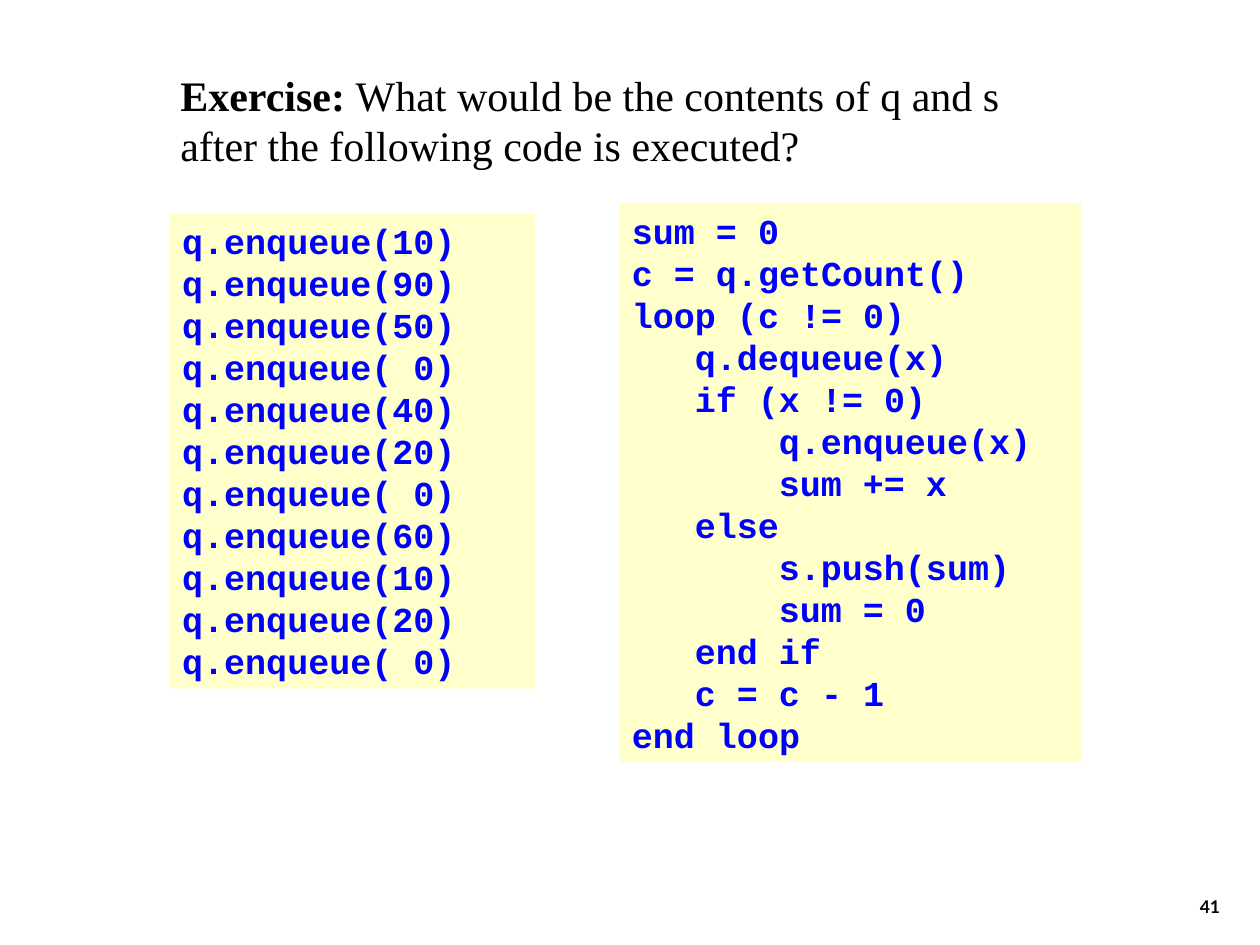
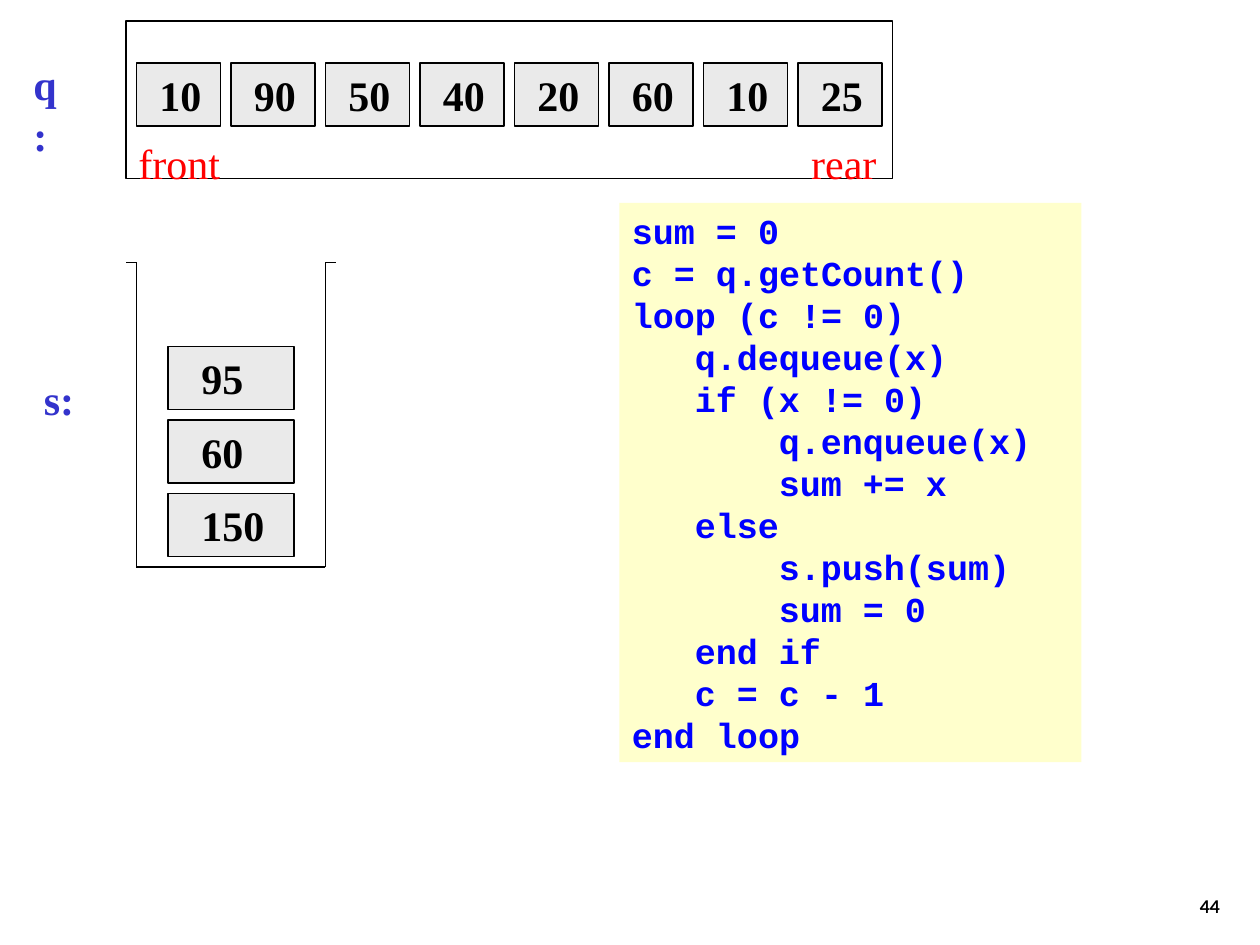
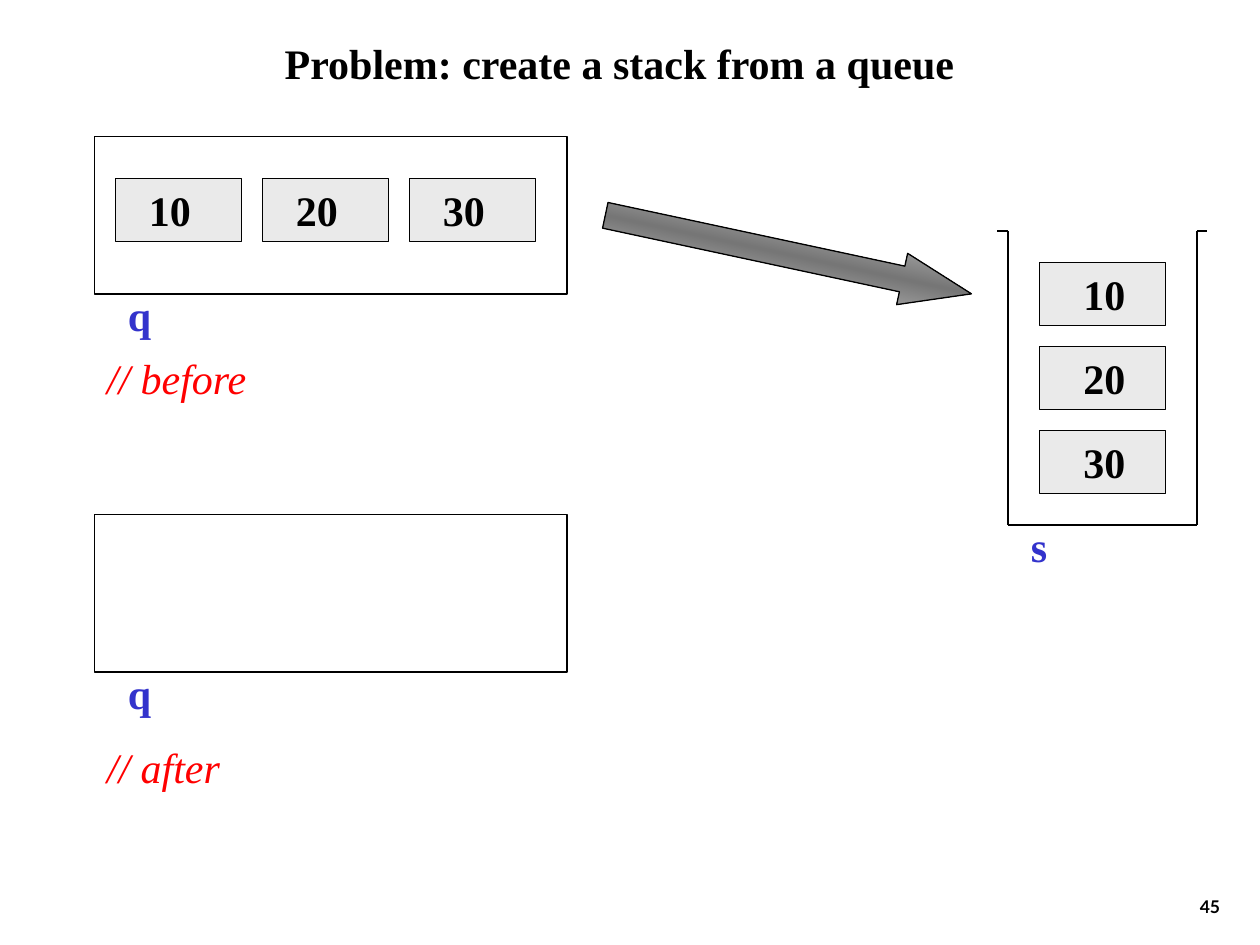
from dataclasses import dataclass

from lxml import etree
from pptx import Presentation
from pptx.dml.color import RGBColor
from pptx.enum.shapes import MSO_CONNECTOR, MSO_SHAPE
from pptx.enum.text import MSO_ANCHOR, PP_ALIGN
from pptx.oxml.ns import qn
from pptx.util import Pt

RECTANGLE, RIGHT_ARROW = MSO_SHAPE.RECTANGLE, MSO_SHAPE.RIGHT_ARROW
STRAIGHT = MSO_CONNECTOR.STRAIGHT
LEFT, CENTER, RIGHT = PP_ALIGN.LEFT, PP_ALIGN.CENTER, PP_ALIGN.RIGHT
TOP, BOTTOM = MSO_ANCHOR.TOP, MSO_ANCHOR.BOTTOM


@dataclass(frozen=True)
class Theme:
    ink: str = "000000"
    label: str = "3333CC"
    accent: str = "FF0000"
    code: str = "0000FF"
    code_fill: str = "FFFFCC"
    cell_fill: str = "EAEAEA"
    arrow_stops: tuple = ((0, "FFFFFF"), (50, "767676"), (100, "FFFFFF"))
    serif: str = "Times New Roman"
    mono: str = "Courier New"
    sans: str = "Lato"
    body_size: int = 24
    code_size: int = 20
    number_size: int = 10
    code_column: int = 12  # width of one character at code_size
    line_width: float = 0.75


THEME = Theme()
CELL_HEIGHT = 36
LIP = 6

ENQUEUE_CODE = [f"q.enqueue({value:>2})"
                for value in (10, 90, 50, 0, 40, 20, 0, 60, 10, 20, 0)]
LOOP_CODE = """\
sum = 0
c = q.getCount()
loop (c != 0)
   q.dequeue(x)
   if (x != 0)
       q.enqueue(x)
       sum += x
   else
       s.push(sum)
       sum = 0
   end if
   c = c - 1
end loop""".splitlines()


# Text
def write(frame, text, *, size=THEME.body_size, font=THEME.serif, color=THEME.ink,
          bold=False, italic=False, align=LEFT, anchor=TOP, indent=0, wrap=True,
          new_paragraph=False):
    """Add a span to the last paragraph of the frame, or to a new one."""
    frame.word_wrap = wrap
    frame.vertical_anchor = anchor
    para = frame.add_paragraph() if new_paragraph else frame.paragraphs[-1]
    para.alignment = align
    if indent:
        properties = para._p.get_or_add_pPr()
        properties.set("marL", str(Pt(indent)))
        properties.set("indent", "0")
    span = para.add_run()
    span.text = text
    span.font.size = Pt(size)
    span.font.name = font
    span.font.bold = bold
    span.font.italic = italic
    span.font.color.rgb = RGBColor.from_string(color)


def add_text(page, text, left, top, width, height=36, **style):
    box = page.shapes.add_textbox(Pt(left), Pt(top), Pt(width), Pt(height))
    write(box.text_frame, text, **style)
    return box.text_frame


# Shapes
def set_outline(line):
    line.color.rgb = RGBColor.from_string(THEME.ink)
    line.width = Pt(THEME.line_width)


def add_box(page, left, top, width, height, *, fill=None, outlined=True, kind=RECTANGLE):
    box = page.shapes.add_shape(kind, Pt(left), Pt(top), Pt(width), Pt(height))
    box.shadow.inherit = False
    if fill:
        box.fill.solid()
        box.fill.fore_color.rgb = RGBColor.from_string(fill)
    else:
        box.fill.background()
    if outlined:
        set_outline(box.line)
    else:
        box.line.fill.background()
    return box


def add_code(page, lines, left, top, width, height):
    box = add_box(page, left, top, width, height, fill=THEME.code_fill, outlined=False)
    for number, line in enumerate(lines):
        code = line.lstrip()
        write(box.text_frame, code, size=THEME.code_size, font=THEME.mono,
              color=THEME.code, bold=True, new_paragraph=number > 0,
              indent=(len(line) - len(code)) * THEME.code_column)


def add_cells(page, values, left, top, *, width=72, step_x=0, step_y=0, indent=12):
    for index, value in enumerate(values):
        cell = add_box(page, left + index * step_x, top + index * step_y,
                       width, CELL_HEIGHT, fill=THEME.cell_fill)
        write(cell.text_frame, str(value), bold=True, indent=indent)


def add_stack_frame(page, left, top, width, height):
    """Draw an open container with a small lip on each side."""
    right, bottom = left + width, top + height
    corners = [(left - LIP, top), (left, top), (left, bottom),
               (right, bottom), (right, top), (right + LIP, top)]
    group = page.shapes.add_group_shape()
    for start, end in zip(corners, corners[1:]):
        line = group.shapes.add_connector(STRAIGHT, *map(Pt, start + end))
        set_outline(line.line)
        etree.SubElement(line._element.spPr, qn("a:effectLst"))


def add_gradient_arrow(page, left, top, width, height, rotation):
    arrow = add_box(page, left, top, width, height, kind=RIGHT_ARROW)
    arrow.rotation = rotation
    arrow.adjustments[0], arrow.adjustments[1] = 0.5, 1.35
    arrow.fill.gradient()
    arrow.fill.gradient_angle = 270  # counter-clockwise: top to bottom
    stops = arrow._element.spPr.find(qn("a:gradFill")).find(qn("a:gsLst"))
    for stop in list(stops):
        stops.remove(stop)
    for percent, color in THEME.arrow_stops:
        stop = etree.SubElement(stops, qn("a:gs"), pos=str(percent * 1000))
        etree.SubElement(stop, qn("a:srgbClr"), val=color)


# Pages
def add_page(deck, number):
    page = deck.slides.add_slide(deck.slide_layouts[6])
    add_text(page, str(number), 554.4, 491.8, 149.8, size=THEME.number_size,
             font=THEME.sans, bold=True, align=RIGHT, anchor=BOTTOM)
    return page


def add_loop_code(page):
    add_code(page, LOOP_CODE, 354, 116, 264, 319.5)


def build_exercise(deck):
    page = add_page(deck, 41)
    frame = add_text(page, "Exercise: ", 96, 36, 510, 65, bold=True)
    write(frame, "What would be the contents of q and s after the following code is executed?")
    add_code(page, ENQUEUE_CODE, 97, 122, 209, 271.5)
    add_loop_code(page)


def build_answer(deck):
    page = add_page(deck, 44)
    add_box(page, 72, 12, 438, 90)
    add_cells(page, (10, 90, 50, 40, 20, 60, 10, 25), 78, 36, width=48, step_x=54, indent=6)
    add_stack_frame(page, 78, 150, 108, 174)
    add_cells(page, (95, 60, 150), 96, 198, step_y=42)
    for text, left, top, width in (("q:", 12, 30, 35), ("s:", 18, 210, 32)):
        add_text(page, text, left, top, width, color=THEME.label, bold=True, wrap=False)
    for text, left, width in (("front", 72, 61), ("rear", 456.5, 52)):
        add_text(page, text, left, 75, width, color=THEME.accent, wrap=False)
    add_loop_code(page)


def build_problem(deck):
    page = add_page(deck, 45)
    add_text(page, "Problem: create a stack from a queue", 132, 18, 444,
             bold=True, align=CENTER)
    # Queue before and after
    for top, note, note_top in ((78, "// before", 198), (294, "// after", 420)):
        add_box(page, 54, top, 270, 90)
        add_text(page, "q", 66, top + 84, 72, color=THEME.label, bold=True)
        add_text(page, note, 54, note_top, 120, color=THEME.accent, italic=True)
    add_cells(page, (10, 20, 30), 66, 102, step_x=84)
    add_gradient_arrow(page, 343.5, 130.5, 214, 30, 12.1)
    # Resulting stack
    add_stack_frame(page, 576, 132, 108, 168)
    add_cells(page, (10, 20, 30), 594, 150, step_y=48, indent=18)
    add_text(page, "s", 582, 294, 72, color=THEME.label, bold=True)


def main():
    deck = Presentation()
    deck.slide_width, deck.slide_height = Pt(720), Pt(540)
    build_exercise(deck)
    build_answer(deck)
    build_problem(deck)
    deck.save("out.pptx")


if __name__ == "__main__":
    main()
